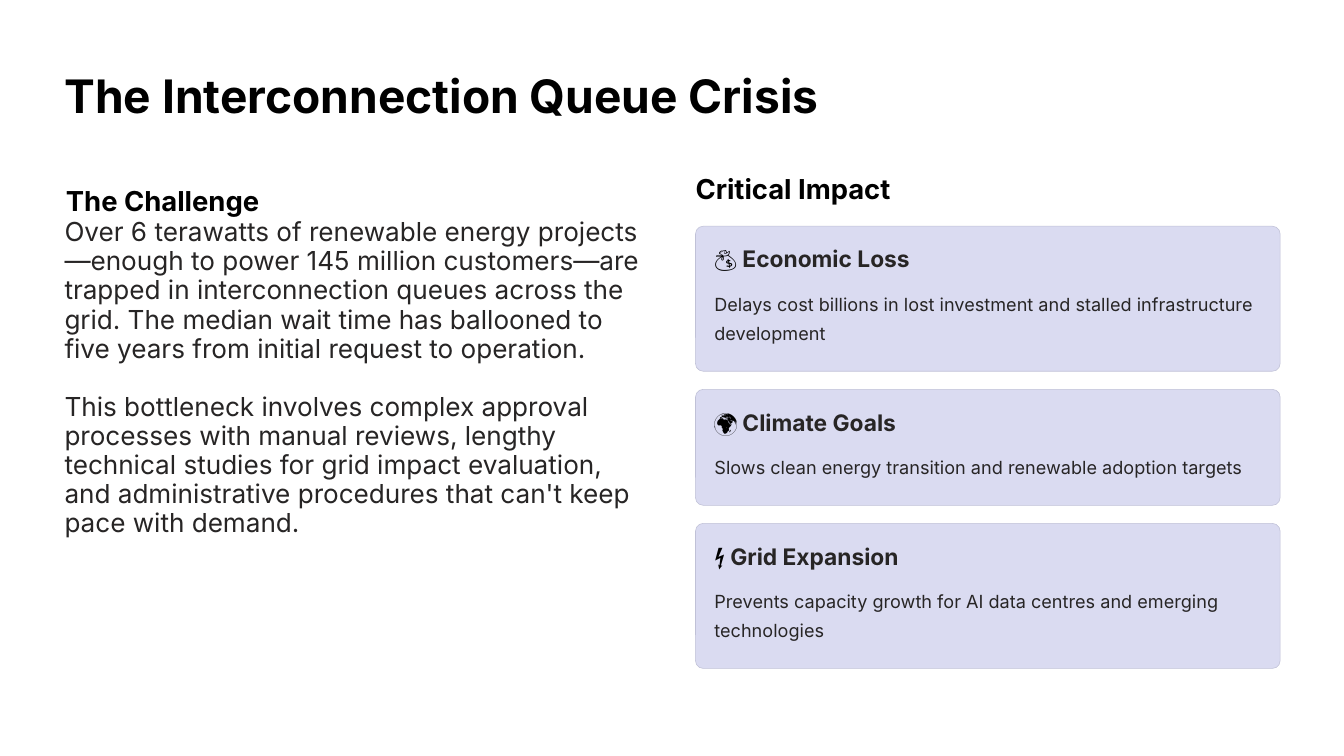
from lxml.etree import SubElement
from pptx import Presentation
from pptx.dml.color import RGBColor
from pptx.enum.shapes import MSO_SHAPE as SHAPE
from pptx.enum.text import MSO_ANCHOR as ANCHOR, MSO_AUTO_SIZE as AUTO, PP_ALIGN as ALIGN
from pptx.oxml.ns import qn
from pptx.util import Pt

BLACK, INK, LILAC, EDGE, WHITE = "000000", "272525", "DADBF1", "C0C1D7", "FFFFFF"
LEFT, RIGHT, COL_W = 69.1, 745.2, 626.4
LINE, GAP, PAD, RADIUS = 31.2, 19.4, 20.2, 8.3

TITLE = dict(size=49.4, bold=True, color=BLACK, line=61.9)
HEADING = dict(size=29.4, bold=True, color=BLACK, line=36.9)
BODY = dict(size=28, bold=False, color=INK, line=LINE)
CARD_HEAD = dict(size=24.4, bold=True, color=INK, line=30.6)
CARD_BODY = dict(size=19.4, bold=False, color=INK, line=LINE)

CHALLENGE = [
    "Over 6 terawatts of renewable energy projects—enough to power 145 million customers—are "
    "trapped in interconnection queues across the grid. The median wait time has ballooned to "
    "five years from initial request to operation.",
    "This bottleneck involves complex approval processes with manual reviews, lengthy technical "
    "studies for grid impact evaluation, and administrative procedures that can't keep pace with "
    "demand.",
]
CARDS = [
    ("💰", "Economic Loss", 2,
     "Delays cost billions in lost investment and stalled infrastructure development"),
    ("🌍", "Climate Goals", 1,
     "Slows clean energy transition and renewable adoption targets"),
    ("⚡", "Grid Expansion", 2,
     "Prevents capacity growth for AI data centres and emerging technologies"),
]


def rgb(value):
    return RGBColor.from_string(value)


def set_all(obj, values):
    for name, value in values.items():
        setattr(obj, name, value)


def place(s, x, y, w, h):
    set_all(s, dict(left=Pt(x), top=Pt(y), width=Pt(w), height=Pt(h)))


def add_run(p, text, style, color=None):
    r = p.add_run()
    r.text = text
    set_all(r.font, dict(name="Inter", size=Pt(style["size"]), bold=style["bold"]))
    r.font.color.rgb = rgb(color or style["color"])


def write(s, paragraphs, style):
    tf = s.text_frame
    set_all(tf, dict(margin_left=0, margin_top=0, margin_right=0, margin_bottom=0,
                     word_wrap=True, auto_size=AUTO.NONE, vertical_anchor=ANCHOR.TOP))
    for i, runs in enumerate(paragraphs):
        p = tf.add_paragraph() if i else tf.paragraphs[0]
        pPr = p._p.get_or_add_pPr()
        set_all(p, dict(alignment=ALIGN.LEFT, line_spacing=Pt(style["line"]),
                        space_before=Pt(style["line"] if i else 0), space_after=Pt(0)))
        pPr.set("marL", "0")
        pPr.set("indent", "0")
        SubElement(pPr, qn("a:buNone"))
        for text, color in runs:
            add_run(p, text, style, color)


def fill_placeholder(slide, idx, box, texts, style):
    s = slide.placeholders[idx]
    place(s, *box)
    write(s, [[(text, None)] for text in texts], style)


def add_text(slide, box, runs, style):
    s = slide.shapes.add_textbox(*map(Pt, box))
    write(s, [runs], style)


def add_card(slide, y, icon, head, lines, text):
    h = 93 + LINE * lines
    s = slide.shapes.add_shape(SHAPE.ROUNDED_RECTANGLE, Pt(RIGHT), Pt(y), Pt(COL_W), Pt(h))
    s.shadow.inherit = False
    s.adjustments[0] = RADIUS / h
    s.fill.solid()
    s.fill.fore_color.rgb = rgb(LILAC)
    s.line.color.rgb = rgb(EDGE)
    s.line.width = Pt(0.6)
    x, w = RIGHT + PAD, COL_W - 2 * PAD
    add_text(slide, (x, y + 18.9, w, 32.4), [(icon, BLACK), (" " + head, None)], CARD_HEAD)
    add_text(slide, (x, y + 64.2, w, LINE * lines + 7), [(text, None)], CARD_BODY)
    return y + h + GAP


def main():
    prs = Presentation()
    set_all(prs, dict(slide_width=Pt(1440), slide_height=Pt(810)))
    slide = prs.slides.add_slide(prs.slide_layouts.get_by_name("Comparison"))
    slide.background.fill.solid()
    slide.background.fill.fore_color.rgb = rgb(WHITE)
    for s in list(slide.placeholders):
        if s.placeholder_format.idx > 4 or s.placeholder_format.idx == 4:
            s.element.getparent().remove(s.element)

    fill_placeholder(slide, 0, (LEFT, 69.1, 811.4, 64.1),
                     ["The Interconnection Queue Crisis"], TITLE)
    fill_placeholder(slide, 1, (70.6, 195.1, 297.4, 38.2), ["The Challenge"], HEADING)
    fill_placeholder(slide, 2, (LEFT, 233.3, COL_W, 375.8), CHALLENGE, BODY)
    fill_placeholder(slide, 3, (RIGHT, 182.2, 297.4, 38.2), ["Critical Impact"], HEADING)

    y = 242.4
    for card in CARDS:
        y = add_card(slide, y, *card)
    prs.save("out.pptx")


if __name__ == "__main__":
    main()
